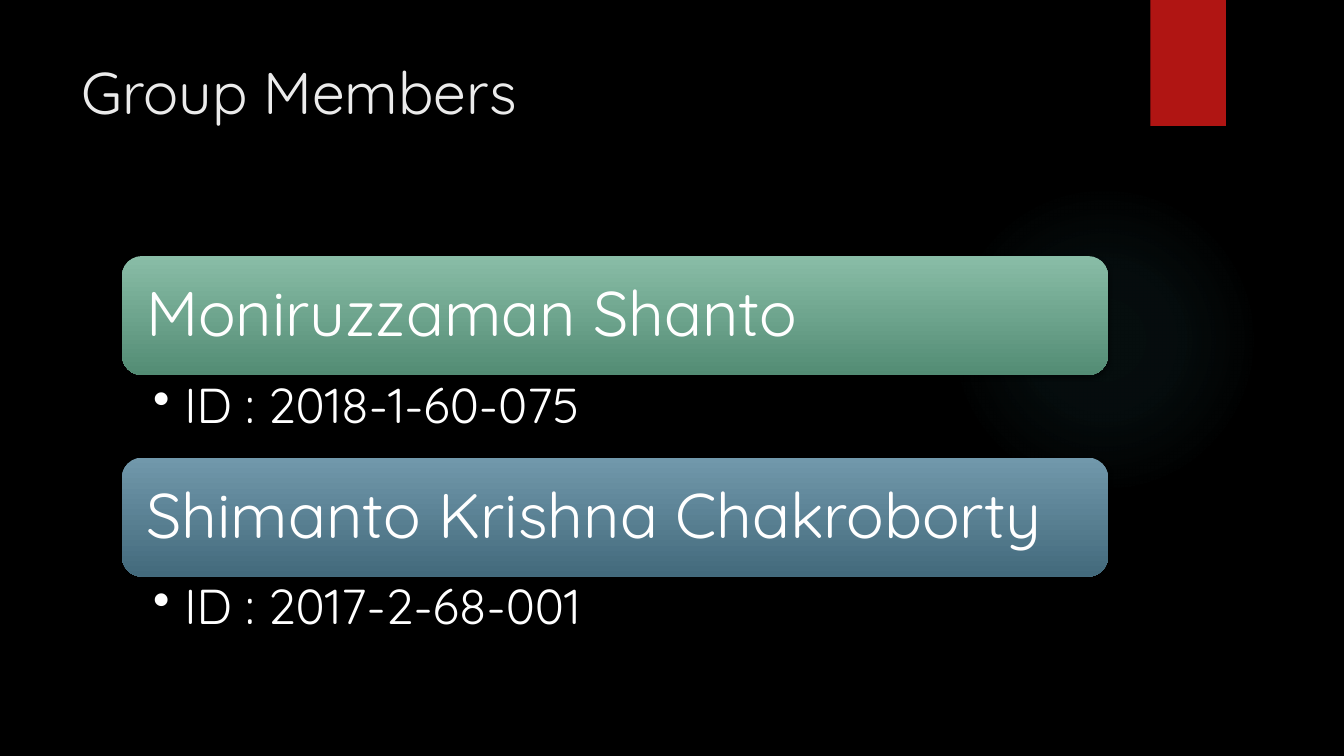
from lxml import etree
from pptx import Presentation
from pptx import util as u
from pptx.dml.color import RGBColor
from pptx.enum import shapes, text
from pptx.oxml import parse_xml
from pptx.oxml.ns import nsdecls, qn

COLORS = {
    "background": "000000",
    "glow": "50B9C1",
    "ribbon": "B01513",
    "title": "EBEBEB",
    "text": "FFFFFF",
    "green_top": "89BDA7",
    "green_bottom": "538C74",
    "blue_top": "7198AB",
    "blue_bottom": "436A7C",
}
MEMBERS = [
    ("Moniruzzaman Shanto", "ID : 2018-1-60-075", "green"),
    ("Shimanto Krishna Chakroborty", "ID : 2017-2-68-001", "blue"),
]
LEFT, TOP, WIDTH, PITCH = 1.21, 2.54, 9.78, 2.0
BAR_HEIGHT, ID_HEIGHT = 1.18, 0.81

presentation = Presentation()
presentation.slide_width = u.Inches(13.33)
presentation.slide_height = u.Inches(7.5)
slide = presentation.slides.add_slide(presentation.slide_layouts[6])
slide.background.fill.solid()
slide.background.fill.fore_color.rgb = RGBColor.from_string(COLORS["background"])


def add_panel(kind, left, top, width, height, shadowed=True):
    shape = slide.shapes.add_shape(kind, *map(u.Inches, (left, top, width, height)))
    shape.shadow.inherit = False
    shape.line.fill.background()
    if shadowed:
        effects = shape.element.spPr.find(qn("a:effectLst"))
        effects.append(parse_xml(
            f'<a:outerShdw {nsdecls("a")} blurRad="38100" dist="25400" dir="5400000" rotWithShape="0">'
            '<a:srgbClr val="000000"><a:alpha val="45000"/></a:srgbClr></a:outerShdw>'))
    return shape


def add_label(words, box, size, color, insets, anchor=text.MSO_ANCHOR.TOP):
    label = slide.shapes.add_textbox(*map(u.Inches, box))
    frame = label.text_frame
    frame.word_wrap = True
    frame.vertical_anchor = anchor
    frame.margin_left, frame.margin_top, frame.margin_right, frame.margin_bottom = map(u.Inches, insets)
    frame.text = words
    paragraph = frame.paragraphs[0]
    font = paragraph.runs[0].font
    font.name = "Quicksand"
    font.size = u.Pt(size)
    font.color.rgb = RGBColor.from_string(COLORS[color])
    return paragraph


glow = add_panel(shapes.MSO_SHAPE.OVAL, 9.41, 1.83, 3.08, 3.08, shadowed=False)
stops = "".join(
    f'<a:gs pos="{position * 1000}"><a:srgbClr val="{COLORS["glow"]}">'
    f'<a:alpha val="{alpha * 1000}"/></a:srgbClr></a:gs>'
    for position, alpha in [(0, 7), (36, 6), (69, 0)])
glow.element.spPr.find(qn("a:prstGeom")).addnext(parse_xml(
    f'<a:gradFill {nsdecls("a")}><a:gsLst>{stops}</a:gsLst><a:path path="circle">'
    '<a:fillToRect l="50000" t="50000" r="50000" b="50000"/></a:path></a:gradFill>'))

ribbon = add_panel(shapes.MSO_SHAPE.RECTANGLE, 11.41, 0, 0.75, 1.25)
ribbon.fill.solid()
ribbon.fill.fore_color.rgb = RGBColor.from_string(COLORS["ribbon"])

add_label("Group Members", (0.71, 0.5, 10.29, 1.53), 42, "title", (0.1, 0.05, 0.1, 0.05))

for index, (name, identifier, tone) in enumerate(MEMBERS):
    top = TOP + index * PITCH
    bar = add_panel(shapes.MSO_SHAPE.ROUNDED_RECTANGLE, LEFT, top, WIDTH, BAR_HEIGHT)
    bar.fill.gradient()
    bar.fill.gradient_angle = 270
    for stop, position, end in zip(bar.fill.gradient_stops, (0, 1), ("top", "bottom")):
        stop.position = position
        stop.color.rgb = RGBColor.from_string(COLORS[f"{tone}_{end}"])

    paragraph = add_label(name, (LEFT + 0.05, top + 0.06, 9.67, 1.07), 45, "text",
                          (0.19,) * 4, text.MSO_ANCHOR.MIDDLE)
    paragraph.line_spacing = 0.9

    paragraph = add_label(identifier, (LEFT, top + BAR_HEIGHT, WIDTH, ID_HEIGHT), 35, "text",
                          (0.31, 0.06, 0.35, 0.06))
    paragraph.line_spacing = 0.9
    paragraph.level = 1
    properties = paragraph._p.get_or_add_pPr()
    properties.set("marL", str(u.Inches(0.31)))
    properties.set("indent", str(-u.Inches(0.31)))
    etree.SubElement(properties, qn("a:buChar")).set("char", "•")

presentation.save("out.pptx")
